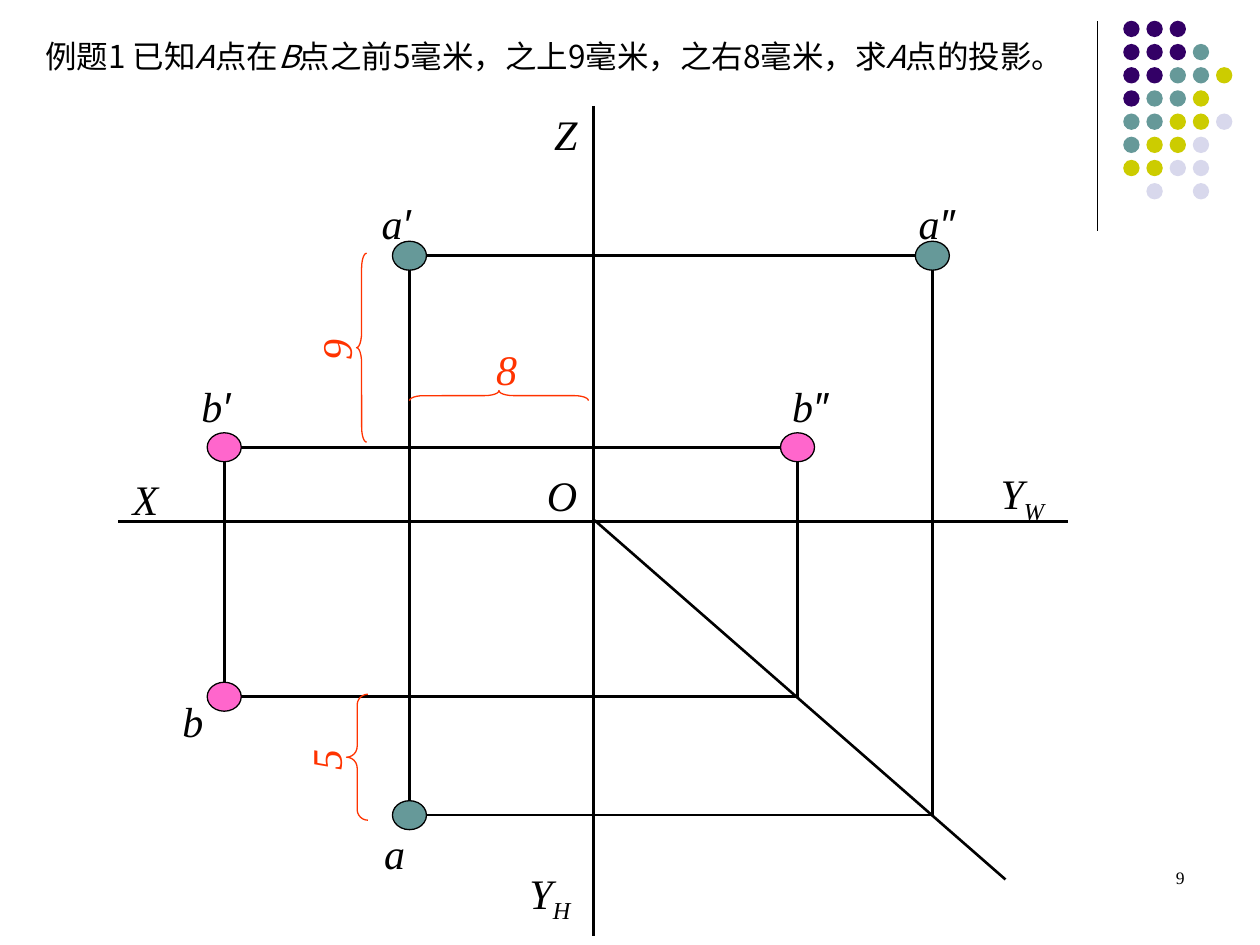
from dataclasses import dataclass

from lxml import etree
from pptx import Presentation
from pptx.dml.color import RGBColor
from pptx.enum.shapes import MSO_CONNECTOR, MSO_SHAPE
from pptx.enum.text import MSO_ANCHOR, MSO_AUTO_SIZE, PP_ALIGN
from pptx.oxml.ns import qn
from pptx.util import Inches, Pt

OVAL, BRACE = MSO_SHAPE.OVAL, MSO_SHAPE.LEFT_BRACE
STRAIGHT = MSO_CONNECTOR.STRAIGHT
LEFT, CENTER, RIGHT = PP_ALIGN.LEFT, PP_ALIGN.CENTER, PP_ALIGN.RIGHT
TOP, MIDDLE = MSO_ANCHOR.TOP, MSO_ANCHOR.MIDDLE


@dataclass(frozen=True)
class Theme:
    ink: str = "000000"
    measure: str = "FF3300"
    point_a: str = "669999"
    point_b: str = "FF66CC"
    purple: str = "330066"
    teal: str = "669999"
    olive: str = "CCCC00"
    pale: str = "D8D8EC"
    label_font: str = "Times New Roman"
    prime_font: str = "Arial"
    title_font: str = "Noto Sans CJK SC"
    label_size: float = 24
    title_size: float = 18
    number_size: float = 10
    thin: float = 0.75
    thick: float = 1.5


def add_span(para, text, *, font, size, color, italic=False, baseline=0):
    """Append a run; baseline is a percentage, negative for a subscript."""
    span = para.add_run()
    span.text = text
    span.font.name = font
    span.font.size = Pt(size)
    span.font.italic = italic
    span.font.color.rgb = RGBColor.from_string(color)
    properties = span._r.get_or_add_rPr()
    latin = properties.find(qn("a:latin"))
    east_asian = etree.Element(qn("a:ea"), typeface=font)
    latin.addnext(east_asian)
    if baseline:
        properties.set("baseline", str(baseline * 1000))


class DrawingPage:
    def __init__(self, page, theme):
        self.page = page
        self.theme = theme

    def title(self, parts, left, top, width, height):
        """Fill the title with (text, italic) parts."""
        box = self.page.shapes.title
        box.left, box.top = Inches(left), Inches(top)
        box.width, box.height = Inches(width), Inches(height)
        frame = box.text_frame
        frame.word_wrap = True
        frame.auto_size = MSO_AUTO_SIZE.NONE
        frame.vertical_anchor = TOP
        para = frame.paragraphs[0]
        para.alignment = LEFT
        for text, italic in parts:
            add_span(para, text, font=self.theme.title_font, italic=italic,
                     size=self.theme.title_size, color=self.theme.ink)

    def text_box(self, left, top, width, height, align, anchor):
        box = self.page.shapes.add_textbox(
            Inches(left), Inches(top), Inches(width), Inches(height))
        box.text_frame.word_wrap = True
        box.text_frame.vertical_anchor = anchor
        para = box.text_frame.paragraphs[0]
        para.alignment = align
        return box, para

    def label(self, text, left, top, width, height=0.5, *, prime="",
              subscript="", color=None, rotation=0):
        box, para = self.text_box(left, top, width, height, CENTER, MIDDLE)
        box.text_frame.word_wrap = False
        box.rotation = rotation
        style = dict(size=self.theme.label_size, italic=True,
                     color=color or self.theme.ink)
        add_span(para, text, font=self.theme.label_font, **style)
        if prime:
            add_span(para, prime + " ", font=self.theme.prime_font, **style)
        if subscript:
            add_span(para, subscript, font=self.theme.label_font,
                     baseline=-25, **style)

    def page_number(self, text, left, top, width, height):
        _, para = self.text_box(left, top, width, height, RIGHT, TOP)
        add_span(para, text, font=self.theme.label_font,
                 size=self.theme.number_size, color=self.theme.ink)

    def line(self, start, end, weight=None):
        line = self.page.shapes.add_connector(
            STRAIGHT, *(Inches(value) for value in (*start, *end)))
        line.line.color.rgb = RGBColor.from_string(self.theme.ink)
        line.line.width = Pt(weight or self.theme.thick)
        etree.SubElement(line._element.spPr, qn("a:effectLst"))

    def oval(self, center, width, height, fill, outlined=False):
        x, y = center
        oval = self.page.shapes.add_shape(
            OVAL, Inches(x - width / 2), Inches(y - height / 2),
            Inches(width), Inches(height))
        oval.shadow.inherit = False
        oval.fill.solid()
        oval.fill.fore_color.rgb = RGBColor.from_string(fill)
        if outlined:
            oval.line.color.rgb = RGBColor.from_string(self.theme.ink)
            oval.line.width = Pt(self.theme.thin)
        else:
            oval.line.fill.background()

    def brace(self, left, top, width, height, curl, rotation=0):
        brace = self.page.shapes.add_shape(
            BRACE, Inches(left), Inches(top), Inches(width), Inches(height))
        brace.shadow.inherit = False
        brace.adjustments[0] = curl
        brace.rotation = rotation
        brace.fill.background()
        brace.line.color.rgb = RGBColor.from_string(self.theme.measure)
        brace.line.width = Pt(self.theme.thin)

    def dot_pattern(self, rows, left, top, pitch, size):
        """Draw rows of dots, one colour letter per dot, space for a gap."""
        colors = {"p": self.theme.purple, "t": self.theme.teal,
                  "o": self.theme.olive, "l": self.theme.pale}
        for row, letters in enumerate(rows):
            for column, letter in enumerate(letters):
                if letter in colors:
                    center = (left + column * pitch, top + row * pitch)
                    self.oval(center, size, size, colors[letter])

    def projections(self, x, front_y, top_y, side_x, color, side_to_top):
        """Join the front, top and side views of one point and mark them."""
        front, top, side = (x, front_y), (x, top_y), (side_x, front_y)
        fold = (side_x, top_y)
        for start, end in ((top, fold), (front, top), (fold, side), (front, side)):
            self.line(start, end)
        for center in (front, side) + ((top,) if side_to_top else ()):
            self.oval(center, 0.27, 0.23, color, outlined=True)


def main():
    theme = Theme()
    deck = Presentation()
    deck.slide_width, deck.slide_height = Inches(10), Inches(7.5)
    page = deck.slides.add_slide(deck.slide_layouts[5])
    drawing = DrawingPage(page, theme)

    drawing.line((8.71, 0.17), (8.71, 1.83), theme.thin)
    drawing.dot_pattern(
        ("ppp", "pppt", "pptto", "ptto", "ttool", "tool", "ooll", " l l"),
        left=8.98, top=0.23, pitch=0.184, size=0.13)

    drawing.projections(3.25, 2.03, 6.47, 7.4, theme.point_a, True)
    drawing.line((4.72, 4.13), (7.98, 6.98))
    drawing.projections(1.78, 3.55, 5.53, 6.33, theme.point_b, True)
    drawing.line((0.94, 4.14), (8.48, 4.14))
    drawing.line((4.71, 0.84), (4.71, 7.43))

    drawing.label("X", 0.9, 3.71, 0.51)
    drawing.label("Z", 4.24, 0.81, 0.5)
    drawing.label("O", 4.24, 3.68, 0.44)
    drawing.label("Y", 7.65, 3.66, 0.93, 0.56, subscript="W")
    drawing.label("Y", 3.9, 6.83, 0.93, 0.56, subscript="H")
    drawing.label("a", 2.91, 1.52, 0.56, prime="′")
    drawing.label("a", 7.18, 1.52, 0.6, prime="″")
    drawing.label("a", 2.95, 6.52, 0.36)
    drawing.label("b", 1.48, 2.97, 0.56, prime="′")
    drawing.label("b", 5.9, 2.97, 1.15, prime="″")
    drawing.label("b", 1.35, 5.47, 0.36)

    drawing.label("9", 2.48, 2.53, 0.36, color=theme.measure, rotation=270)
    drawing.brace(2.83, 2.01, 0.08, 1.5, curl=1.5)
    drawing.label("8", 3.84, 2.68, 0.36, color=theme.measure)
    drawing.brace(3.92, 2.43, 0.08, 1.42, curl=1.42, rotation=90)
    drawing.label("5", 2.4, 5.78, 0.36, color=theme.measure, rotation=270)
    drawing.brace(2.75, 5.51, 0.17, 1, curl=0.5)

    drawing.title(
        (("例题1 已知", False), ("A", True), ("点在", False), ("B", True),
         ("点之前5毫米，之上9毫米，之右8毫米，求", False), ("A", True),
         ("点的投影。", False)),
        0.26, 0.24, 8.58, 0.7)
    drawing.page_number("9", 7.17, 6.83, 2.33, 0.5)
    deck.save("out.pptx")


if __name__ == "__main__":
    main()
